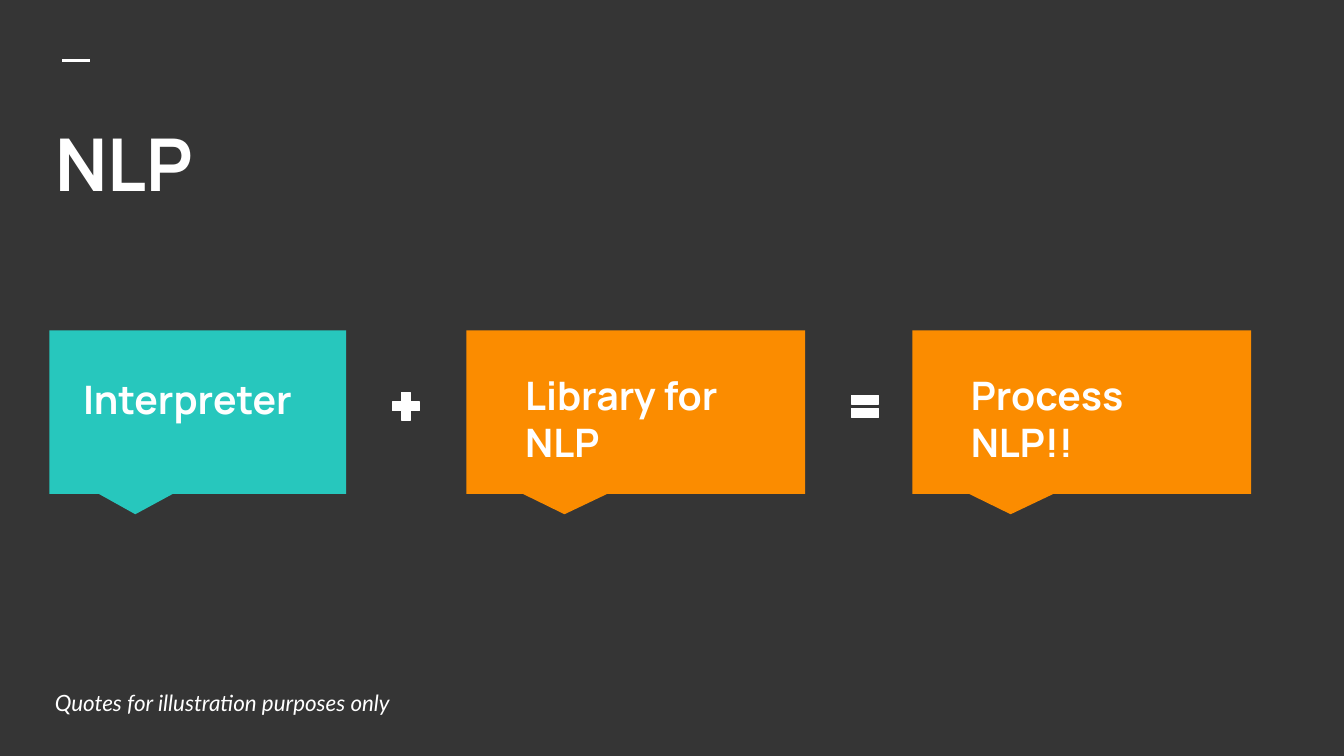
from pptx import Presentation
from pptx.dml.color import RGBColor
from pptx.enum.shapes import MSO_CONNECTOR as CONNECTOR, MSO_SHAPE as SHAPE
from pptx.enum.text import MSO_ANCHOR as ANCHOR, MSO_AUTO_SIZE as AUTO_SIZE, PP_ALIGN as ALIGN
from pptx.oxml.ns import qn
from pptx.util import Pt
from lxml import etree

WHITE, TEAL, ORANGE, DARK = "FFFFFF", "27C7BD", "FB8C00", "353535"


def color(hex_string):
    return RGBColor.from_string(hex_string)


def write(box, text, size, font="Manrope", anchor=ANCHOR.TOP, bold=True, italic=False):
    frame = box.text_frame
    frame.word_wrap = True
    frame.auto_size = AUTO_SIZE.NONE
    frame.vertical_anchor = anchor
    frame.margin_left = frame.margin_right = Pt(7.2)
    frame.margin_top = frame.margin_bottom = Pt(7.2)
    para = frame.paragraphs[0]
    para.text = text
    para.alignment = ALIGN.LEFT
    para.font.name = font
    para.font.size = Pt(size)
    para.font.bold = bold
    para.font.italic = italic
    para.font.color.rgb = color(WHITE)


deck = Presentation()
deck.slide_width, deck.slide_height = Pt(720), Pt(405)
page = deck.slides.add_slide(deck.slide_layouts[5])
page.background.fill.solid()
page.background.fill.fore_color.rgb = color(DARK)
shapes = page.shapes

# Accent line and title
accent = shapes.add_connector(CONNECTOR.STRAIGHT, Pt(33.5), Pt(32.5), Pt(48), Pt(32.5))
accent.line.color.rgb = color(WHITE)
accent.line.width = Pt(1.5)
etree.SubElement(accent._element.spPr, qn("a:effectLst"))

title = shapes.title
title.left, title.top, title.width, title.height = Pt(22.3), Pt(56.2), Pt(679), Pt(80.6)
write(title, "NLP", 39)

# Callouts: left, width, fill, then label text, left, top, width, height
callouts = [
    (26.4, 159, TEAL, "Interpreter", 37.4, 193.7, 137.5, 53.3),
    (249.8, 181.5, ORANGE, "Library for NLP", 274.3, 191.5, 122.4, 41),
    (488.8, 181.5, ORANGE, "Process NLP!!", 513, 191.5, 122.4, 41),
]
for left, width, fill, text, text_left, text_top, text_width, text_height in callouts:
    callout = shapes.add_shape(SHAPE.RECTANGULAR_CALLOUT, Pt(left), Pt(177), Pt(width), Pt(87.6))
    callout.adjustments[0], callout.adjustments[1] = -0.21, 0.625
    callout.shadow.inherit = False
    callout.fill.solid()
    callout.fill.fore_color.rgb = color(fill)
    callout.line.fill.background()
    label = shapes.add_textbox(Pt(text_left), Pt(text_top), Pt(text_width), Pt(text_height))
    write(label, text, 21)
    label.text_frame.paragraphs[0].space_after = Pt(12)

# Operators between the callouts
for kind, left in [(SHAPE.MATH_PLUS, 207.5), (SHAPE.MATH_EQUAL, 453.4)]:
    operator = shapes.add_shape(kind, Pt(left), Pt(207.7), Pt(20), Pt(20))
    operator.shadow.inherit = False
    operator.fill.solid()
    operator.fill.fore_color.rgb = color(WHITE)
    operator.line.color.rgb = color(WHITE)
    operator.line.width = Pt(0.75)

footnote = shapes.add_textbox(Pt(22.3), Pt(366.5), Pt(491.8), Pt(20.2))
write(footnote, "Quotes for illustration purposes only", 12, "Lato", ANCHOR.MIDDLE, bold=False, italic=True)

deck.save("out.pptx")
